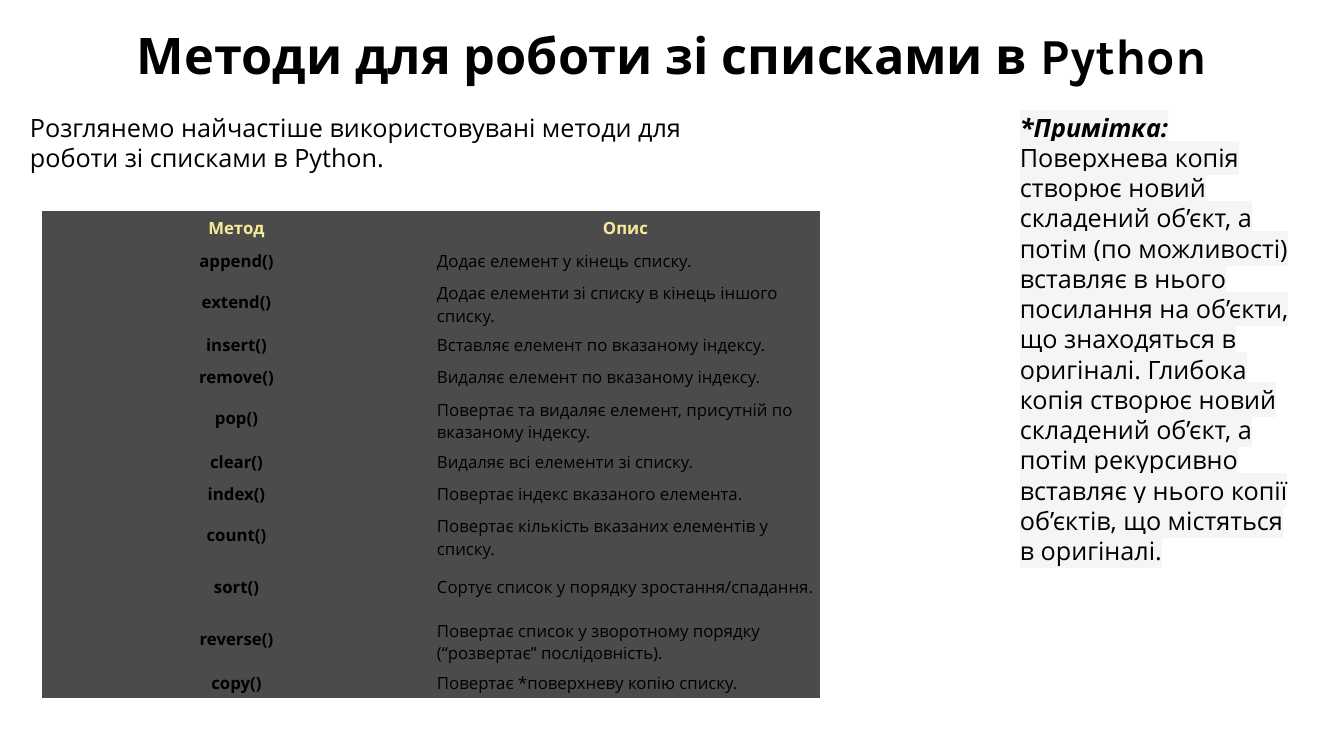
from lxml import etree
from pptx import Presentation
from pptx.dml.color import RGBColor
from pptx.enum.text import MSO_ANCHOR, MSO_AUTO_SIZE, PP_ALIGN
from pptx.oxml.ns import qn
from pptx.util import Emu, Pt

CENTER = PP_ALIGN.CENTER
LEFT = PP_ALIGN.LEFT
MIDDLE = MSO_ANCHOR.MIDDLE
GROW = MSO_AUTO_SIZE.SHAPE_TO_FIT_TEXT
SCALE = 914400 / 100.8
PLAIN = "{2D5ABB26-0587-4C30-8999-92F81FD0307C}"

BLACK, WHITE, PALE = "000000", "FFFFFF", "F5F5F5"
DARK, GOLD = "4B4B4B", "F7E999"
SANS = "Open Sans"
LOW, HIGH = 31, 52

METHODS = [
    ("append()", "Додає елемент у кінець списку.", LOW),
    ("extend()", "Додає елементи зі списку в кінець іншого списку.", HIGH),
    ("insert()", "Вставляє елемент по вказаному індексу.", LOW),
    ("remove()", "Видаляє елемент по вказаному індексу.", LOW),
    ("pop()", "Повертає та видаляє елемент, присутній по вказаному індексу.", HIGH),
    ("clear()", "Видаляє всі елементи зі списку.", LOW),
    ("index()", "Повертає індекс вказаного елемента.", LOW),
    ("count()", "Повертає кількість вказаних елементів у списку.", HIGH),
    ("sort()", "Сортує список у порядку зростання/спадання.", HIGH),
    ("reverse()", "Повертає список у зворотному порядку (“розвертає” послідовність).", HIGH),
    ("copy()", "Повертає *поверхневу копію списку.", LOW),
]
NOTE = (
    " Поверхнева копія створює новий складений об’єкт, а потім (по можливості) "
    "вставляє в нього посилання на об’єкти, що знаходяться в оригіналі. "
    "Глибока копія створює новий складений об’єкт, а потім рекурсивно "
    "вставляє у нього копії об’єктів, що містяться в оригіналі."
)


def px(n):
    return Emu(round(n * SCALE))


def color(code):
    return RGBColor.from_string(code)


def style(para, size, name, ink, bold=None, align=LEFT):
    para.alignment = align
    font = para.font
    font.size = Pt(size)
    font.name = name
    font.bold = bold
    font.color.rgb = color(ink)


def add_run(para, text, mark):
    run = para.add_run()
    run.text = text
    props = run._r.get_or_add_rPr()
    light = etree.SubElement(props, qn("a:highlight"))
    etree.SubElement(light, qn("a:srgbClr"), val=mark)
    return run


def add_text(slide, box):
    frame = slide.shapes.add_textbox(*map(px, box)).text_frame
    frame.word_wrap = True
    frame.auto_size = GROW
    return frame.paragraphs[0]


def fill_cell(cell, text, ink, bold, align):
    cell.fill.solid()
    cell.fill.fore_color.rgb = color(DARK)
    cell.vertical_anchor = MIDDLE
    cell.margin_left = cell.margin_right = px(6)
    cell.margin_top = cell.margin_bottom = px(6)
    para = cell.text_frame.paragraphs[0]
    style(para, 12, SANS, ink, bold, align)
    add_run(para, text, DARK)


def add_methods(slide):
    rows = [("Метод", "Опис", LOW)] + METHODS
    total = sum(row[2] for row in rows)
    frame = slide.shapes.add_table(len(rows), 2, px(42), px(211), px(778), px(total))
    table = frame.table
    table.first_row = table.horz_banding = False
    table._tbl.tblPr.find(qn("a:tableStyleId")).text = PLAIN
    for col in table.columns:
        col.width = px(389)
    for i, (name, about, height) in enumerate(rows):
        head = i == 0
        ink = GOLD if head else BLACK
        table.rows[i].height = px(height)
        fill_cell(table.cell(i, 0), name, ink, True, CENTER)
        fill_cell(table.cell(i, 1), about, ink, head, CENTER if head else LEFT)


def main():
    deck = Presentation()
    deck.slide_width, deck.slide_height = px(1344), px(756)
    slide = deck.slides.add_slide(deck.slide_layouts[6])

    title = add_text(slide, (0, 19, 1344, 72))
    style(title, 36, "Karla", BLACK, True, CENTER)
    add_run(title, "Методи для роботи зі списками в Python", WHITE)

    intro = add_text(slide, (20, 107, 672, 72))
    style(intro, 18, SANS, BLACK)
    add_run(intro, "Розглянемо найчастіше використовувані методи для роботи зі списками в Python.", WHITE)

    add_methods(slide)

    note = add_text(slide, (1010, 107, 292, 468))
    style(note, 18, SANS, BLACK)
    label = add_run(note, "*Примітка:", PALE)
    label.font.bold = label.font.italic = True
    add_run(note, NOTE, PALE)

    deck.save("out.pptx")


if __name__ == "__main__":
    main()
